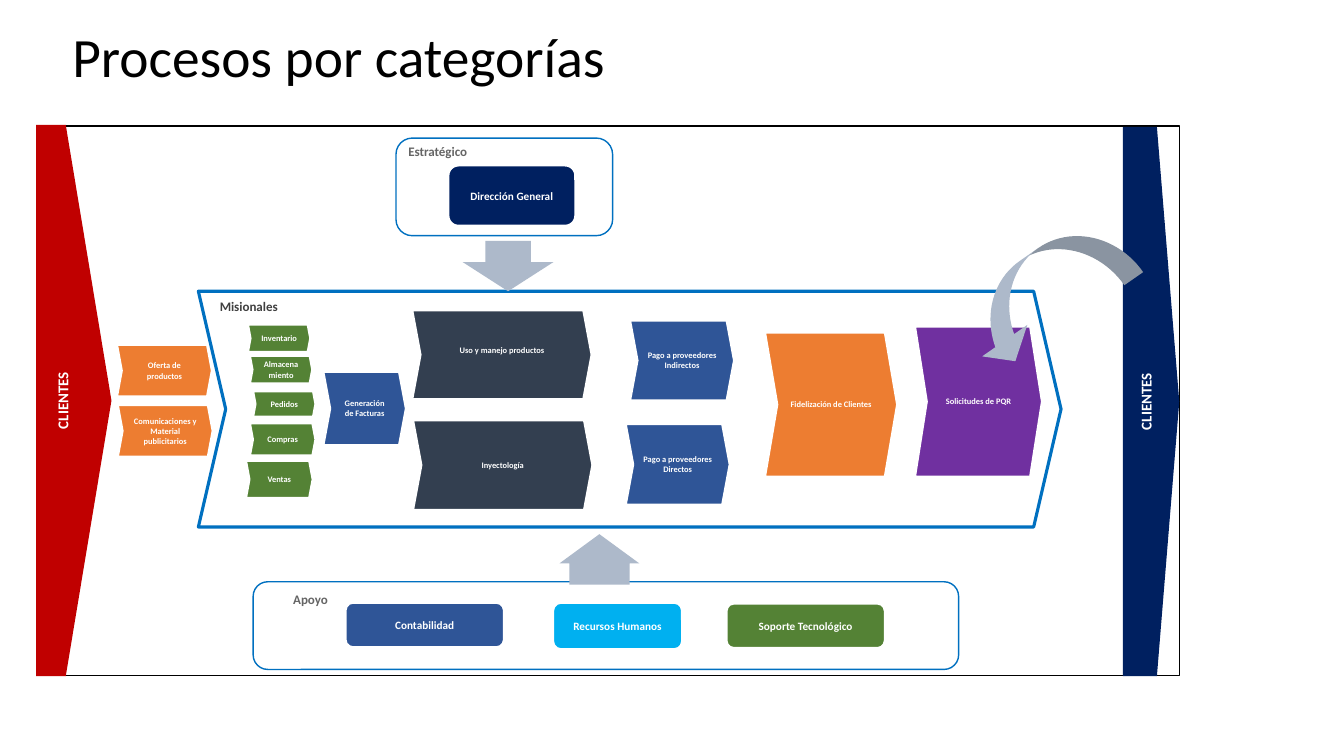
from dataclasses import dataclass

from pptx import Presentation
from pptx.dml.color import RGBColor
from pptx.enum.shapes import MSO_SHAPE as Preset
from pptx.enum.text import MSO_ANCHOR as Anchor, MSO_AUTO_SIZE as AutoSize, PP_ALIGN as Align
from pptx.util import Cm, Pt


@dataclass(frozen=True)
class Theme:
    """Colours, font and type sizes of the slide."""
    font: str = "Calibri"
    black: str = "000000"
    white: str = "FFFFFF"
    outline: str = "0070C0"
    red: str = "C00000"
    navy: str = "002060"
    blue: str = "2F5597"
    cyan: str = "00B0F0"
    green: str = "548235"
    orange: str = "ED7D31"
    slate: str = "333F50"
    purple: str = "7030A0"
    arrow: str = "ADB9CA"
    grey: str = "656565"
    dark_grey: str = "404040"
    title_size: float = 39.6
    client_size: float = 10.7
    label_size: float = 9.3
    box_size: float = 8
    step_size: float = 6


THEME = Theme()

MISSION_STEPS = [
    ("Oferta de productos", THEME.orange, (2.95, 8.69, 2.39, 1.3)),
    ("Comunicaciones y Material publicitarios", THEME.orange, (2.97, 10.21, 2.39, 1.3)),
    ("Inventario", THEME.green, (6.25, 8.18, 1.57, 0.69)),
    ("Almacenamiento", THEME.green, (6.3, 8.97, 1.57, 0.69)),
    ("Pedidos", THEME.green, (6.38, 9.86, 1.57, 0.64)),
    ("Compras", THEME.green, (6.3, 10.67, 1.65, 0.81)),
    ("Ventas", THEME.green, (6.2, 11.61, 1.68, 0.94)),
    ("Generación de Facturas", THEME.blue, (8.15, 9.37, 2.08, 1.85)),
    ("Inyectología", THEME.slate, (10.41, 10.59, 4.52, 2.26)),
    ("Pago a proveedores Indirectos", THEME.blue, (15.88, 8.08, 2.62, 2.01)),
    ("Pago a proveedores Directos", THEME.blue, (15.77, 10.69, 2.62, 2.03)),
    ("Fidelización de Clientes", THEME.orange, (19.28, 8.38, 3.33, 3.63)),
    ("Solicitudes de PQR", THEME.purple, (23.06, 8.23, 3.2, 3.78)),
]

AREA_BOXES = [
    ("Dirección General", THEME.navy, (11.3, 4.17, 3.2, 1.52)),
    ("Contabilidad", THEME.blue, (8.71, 15.19, 3.99, 1.12)),
    ("Recursos Humanos", THEME.cyan, (13.94, 15.19, 3.25, 1.17)),
    ("Soporte Tecnológico", THEME.green, (18.31, 15.21, 3.99, 1.12)),
]

CATEGORY_LABELS = [
    ("Estratégico", THEME.grey, (10.29, 3.66, 3.4, 0.36)),
    ("Misionales", THEME.dark_grey, (5.54, 7.57, 3.63, 0.36)),
    ("Apoyo", THEME.grey, (7.39, 14.96, 1.85, 0.36)),
]


def lengths(box):
    """Turn left, top, width and height into slide lengths."""
    return [Cm(value) for value in box]


def write(paragraph, text, size, color, bold=True):
    """Add one formatted run to a paragraph."""
    run = paragraph.add_run()
    run.text = text
    run.font.name = THEME.font
    run.font.size = Pt(size)
    run.font.bold = bold
    run.font.color.rgb = RGBColor.from_string(color)


def add_figure(slide, preset, box, fill=None, line=None, line_width=1, adjustments=()):
    """Add a flat preset shape with an optional fill and line."""
    shape = slide.shapes.add_shape(preset, *lengths(box))
    shape.shadow.inherit = False
    for index, value in enumerate(adjustments):
        shape.adjustments[index] = value
    if fill:
        shape.fill.solid()
        shape.fill.fore_color.rgb = RGBColor.from_string(fill)
    else:
        shape.fill.background()
    if line:
        shape.line.color.rgb = RGBColor.from_string(line)
        shape.line.width = Pt(line_width)
    else:
        shape.line.fill.background()
    return shape


def add_caption(shape, text, size):
    """Centre a white caption inside a shape."""
    frame = shape.text_frame
    frame.word_wrap = True
    frame.vertical_anchor = Anchor.MIDDLE
    paragraph = frame.paragraphs[0]
    paragraph.alignment = Align.CENTER
    write(paragraph, text, size, THEME.white)


def add_step(slide, text, fill, box):
    """Add a chevron for one process step."""
    shape = add_figure(slide, Preset.CHEVRON, box, fill, THEME.white, 1.5, [0.093])
    add_caption(shape, text, THEME.step_size)
    return shape


def add_area(slide, text, fill, box):
    """Add a rounded box for one area of the company."""
    shape = add_figure(slide, Preset.ROUNDED_RECTANGLE, box, fill, THEME.white, 1.5)
    add_caption(shape, text, THEME.box_size)


def add_clients(slide, fill, box, point):
    """Add a tall pentagon with upward text for the clients."""
    shape = add_figure(slide, Preset.PENTAGON, box, fill, adjustments=[point])
    add_caption(shape, "CLIENTES", THEME.client_size)
    shape.text_frame._txBody.bodyPr.set("vert", "vert270")


def add_label(slide, text, color, box):
    """Add the name of a process category."""
    frame = slide.shapes.add_textbox(*lengths(box)).text_frame
    frame.word_wrap = True
    frame.margin_left = frame.margin_right = frame.margin_top = frame.margin_bottom = 0
    frame.paragraphs[0].line_spacing = 0.9
    write(frame.paragraphs[0], text, THEME.label_size, color)


def add_title(slide, text, box):
    """Place and fill the title placeholder."""
    title = slide.shapes.title
    title.left, title.top, title.width, title.height = lengths(box)
    frame = title.text_frame
    frame.auto_size = AutoSize.NONE
    frame.vertical_anchor = Anchor.MIDDLE
    paragraph = frame.paragraphs[0]
    paragraph.alignment = Align.LEFT
    paragraph.line_spacing = 0.9
    write(paragraph, text, THEME.title_size, THEME.black, bold=False)


def add_arrow(slide, preset, box, adjustments, rotation=0):
    """Add a block arrow between categories."""
    shape = add_figure(slide, preset, box, THEME.arrow, adjustments=adjustments)
    shape.rotation = rotation
    return shape


def main():
    """Build the process map slide and save it."""
    presentation = Presentation()
    presentation.slide_width, presentation.slide_height = Cm(33.87), Cm(19.05)
    slide = presentation.slides.add_slide(presentation.slide_layouts[5])
    add_title(slide, "Procesos por categorías", (1.57, 0.99, 26.67, 1.02))

    add_figure(slide, Preset.RECTANGLE, (1.09, 3.18, 28.63, 13.84), THEME.white, THEME.black)
    for box in ((9.98, 3.48, 5.46, 2.46), (6.38, 14.66, 17.78, 2.21)):
        add_figure(slide, Preset.ROUNDED_RECTANGLE, box, THEME.white, THEME.outline)
    add_figure(slide, Preset.CHEVRON, (5, 7.34, 21.74, 5.94),
               line=THEME.outline, line_width=2.25, adjustments=[0.116])
    add_clients(slide, THEME.red, (0.91, 3.15, 1.9, 13.89), 0.606)
    add_clients(slide, THEME.navy, (28.3, 3.2, 1.42, 13.84), 0.397)

    for label in CATEGORY_LABELS:
        add_label(slide, *label)
    for area in AREA_BOXES:
        add_area(slide, *area)
    for step in MISSION_STEPS:
        add_step(slide, *step)
    product_use = add_step(slide, "Uso y manejo productos", THEME.slate, (10.39, 7.82, 4.52, 2.24))
    product_use.text_frame.margin_bottom = Cm(0.38)

    add_arrow(slide, Preset.DOWN_ARROW, (11.66, 6.07, 2.29, 1.27), [0.5, 0.579])
    add_arrow(slide, Preset.DOWN_ARROW, (14.1, 13.46, 2.01, 1.27), [0.756, 0.579], 180)
    request_arrow = add_arrow(slide, Preset.CURVED_DOWN_ARROW, (24.03, 6.35, 4.62, 2.01),
                              [0.287, 0.691, 0.288], 325.1)
    request_arrow._element.spPr.xfrm.set("flipH", "1")

    presentation.save("out.pptx")


main()
